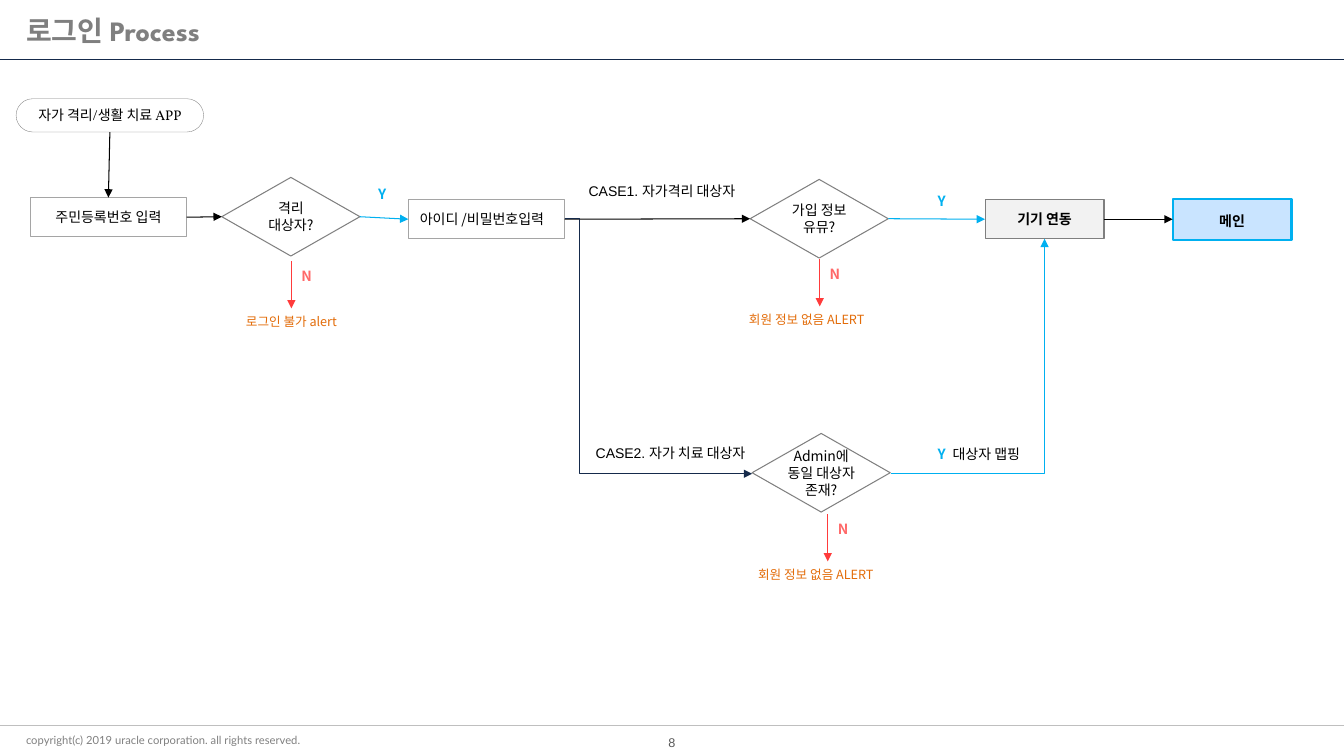
from lxml.etree import SubElement
from pptx import Presentation
from pptx.dml.color import RGBColor
from pptx.enum.shapes import MSO_CONNECTOR as LINK, MSO_SHAPE as SHAPE
from pptx.enum.text import MSO_ANCHOR as ANCHOR, PP_ALIGN as ALIGN
from pptx.oxml.ns import qn
from pptx.util import Inches, Pt

COLORS = {
    "black": "000000", "white": "FFFFFF", "navy": "152A4B", "blue": "00B0F0",
    "pale_blue": "C9E4FF", "pale_gray": "F2F2F2", "rule": "BFBFBF",
    "box": "A5A5A5", "gray": "808080", "title": "7F7F7F", "page": "595959",
    "red": "FF3B3B", "pink": "FF6969", "orange": "E36C09",
}
KOREAN = "Noto Sans CJK KR"
TOP, LEFT, BOTTOM, RIGHT = range(4)

# Node kinds: size, outline and text format
KINDS = {
    "start": dict(shape=SHAPE.ROUNDED_RECTANGLE, size=(1.86, 0.33), fill="white",
                  line="gray", weight=0.25, inset=(0.1, 0.05), font="Vollkorn"),
    "input": dict(shape=SHAPE.RECTANGLE, size=(1.55, 0.39), fill="white",
                  line="box", weight=0.75, inset=(0, 0)),
    "check": dict(shape=SHAPE.DIAMOND, size=(1.37, 0.78), fill="white",
                  line="gray", weight=0.75, inset=(0, 0.05)),
    "device": dict(shape=SHAPE.RECTANGLE, size=(1.18, 0.39), fill="pale_gray",
                   line="title", weight=0.75, inset=(0, 0), bold=True),
    "main": dict(shape=SHAPE.RECTANGLE, size=(1.18, 0.41), fill="pale_blue",
                 line="blue", weight=1.5, inset=(0, 0), bold=True, spacing=1.2),
}
# Node: name, kind, left, top, paragraphs
NODES = [
    ("app", "start", 0.16, 0.98, ["자가 격리/생활 치료 APP"]),
    ("resident_id", "input", 0.3, 1.96, ["주민등록번호 입력"]),
    ("isolated", "check", 2.2, 1.76, ["격리", "대상자?"]),
    ("login", "input", 4.05, 1.98, ["아이디 /비밀번호입력"]),
    ("member", "check", 7.44, 1.78, ["가입 정보", "유뮤?"]),
    ("admin", "check", 7.46, 4.3, ["Admin에", "동일 대상자 존재?"]),
    ("device", "device", 9.77, 1.98, ["기기 연동"]),
    ("main", "main", 11.63, 1.97, ["메인"]),
]
# Straight arrow: from node and side, to node and side, color
ARROWS = [
    ("app", BOTTOM, "resident_id", TOP, "black"),
    ("resident_id", RIGHT, "isolated", LEFT, "black"),
    ("isolated", RIGHT, "login", LEFT, "blue"),
    ("login", RIGHT, "member", LEFT, "black"),
    ("member", RIGHT, "device", LEFT, "blue"),
    ("device", RIGHT, "main", LEFT, "black"),
]
# Rejection: arrow x, arrow top, message left, message, alignment
REJECTIONS = [
    (2.89, 2.59, 2.1, "로그인 불가 alert", ALIGN.CENTER),
    (8.13, 2.57, 7.33, "회원 정보 없음 ALERT", ALIGN.LEFT),
    (8.21, 5.1, 7.42, "회원 정보 없음 ALERT", ALIGN.LEFT),
]
REJECTION_LENGTH = 0.47
YES_LABELS = [(3.63, 1.78), (9.18, 1.85), (9.18, 4.36)]
NOTES = [
    (5.74, 1.76, 1.73, "CASE1. 자가격리 대상자"),
    (5.81, 4.36, 1.89, "CASE2. 자가 치료 대상자"),
    (9.35, 4.37, 1.89, "대상자 맵핑"),
]

presentation = Presentation()
presentation.slide_width, presentation.slide_height = Inches(13.33), Inches(7.5)
slide = presentation.slides.add_slide(presentation.slide_layouts[6])


def rgb(name):
    return RGBColor.from_string(COLORS[name])


def write(shape, lines, size=10, font=KOREAN, color="black", bold=False,
          align=ALIGN.LEFT, anchor=ANCHOR.TOP, inset=(0.1, 0.05), spacing=None):
    frame = shape.text_frame
    across, down = map(Inches, inset)
    frame_format = dict(word_wrap=True, vertical_anchor=anchor, margin_left=across,
                        margin_right=across, margin_top=down, margin_bottom=down)
    for name, value in frame_format.items():
        setattr(frame, name, value)
    for index, line in enumerate(lines):
        paragraph = frame.add_paragraph() if index else frame.paragraphs[0]
        paragraph.alignment = align
        paragraph.line_spacing = spacing
        run = paragraph.add_run()
        run.text = line
        for name, value in dict(size=Pt(size), name=font, bold=bold).items():
            setattr(run.font, name, value)
        run.font.color.rgb = rgb(color)
        SubElement(run._r.get_or_add_rPr(), qn("a:ea"), typeface=KOREAN)


def add_text(left, top, width, height, text, **text_format):
    box = slide.shapes.add_textbox(*map(Inches, (left, top, width, height)))
    write(box, [text], **text_format)


def add_line(start, end, color, weight=0.75, arrow=True, kind=LINK.STRAIGHT):
    line = slide.shapes.add_connector(kind, *map(Inches, (*start, *end)))
    line.line.color.rgb = rgb(color)
    line.line.width = Pt(weight)
    if arrow:
        SubElement(line.line._get_or_add_ln(), qn("a:tailEnd"), type="triangle")
    SubElement(line._element.spPr, qn("a:effectLst"))
    return line


# Header and footer
add_line((0, 7.2), (13.33, 7.2), "rule", 1, arrow=False)
add_line((0, 0.59), (13.33, 0.59), "navy", arrow=False)
add_text(0.16, 0.03, 13.03, 0.54, "로그인 Process", size=20, font="League Spartan",
         color="title", bold=True, anchor=ANCHOR.MIDDLE)
add_text(0.16, 7.14, 4.07, 0.4, "copyright(c) 2019 uracle corporation. all rights reserved.",
         size=8, font="Lato", color="gray", anchor=ANCHOR.MIDDLE)
add_text(6.2, 7.24, 0.93, 0.25, "8", size=9, font="Arial", color="page",
         align=ALIGN.CENTER, anchor=ANCHOR.MIDDLE)

# Flow nodes
nodes = {}
for name, kind, left, top, lines in NODES:
    style = KINDS[kind]
    node = slide.shapes.add_shape(style["shape"], *map(Inches, (left, top, *style["size"])))
    node.shadow.inherit = False
    node.fill.solid()
    node.fill.fore_color.rgb = rgb(style["fill"])
    node.line.color.rgb = rgb(style["line"])
    node.line.width = Pt(style["weight"])
    text_format = {key: style[key] for key in ("inset", "font", "bold", "spacing") if key in style}
    write(node, lines, align=ALIGN.CENTER, anchor=ANCHOR.MIDDLE, **text_format)
    nodes[name] = node
nodes["app"].adjustments[0] = 0.5
nodes["login"].text_frame.margin_right = Inches(0.09)

# Straight arrows between nodes
for source, source_side, target, target_side, color in ARROWS:
    arrow = add_line((0, 0), (1, 1), color)
    arrow.begin_connect(nodes[source], source_side)
    arrow.end_connect(nodes[target], target_side)

# Bent arrows of the second case
case_arrow = add_line((5.6, 2.17), (7.46, 4.7), "navy", kind=LINK.ELBOW)
guides = case_arrow._element.spPr.prstGeom.get_or_add_avLst()
SubElement(guides, qn("a:gd"), name="adj1", fmla="val 7900")
mapping_arrow = add_line((8.84, 4.7), (10.36, 2.37), "blue", kind=LINK.ELBOW)
mapping_arrow._element.spPr.prstGeom.set("prst", "bentConnector2")

# Labels and rejections
label = dict(bold=True, inset=(0.12, 0.06))
for left, top in YES_LABELS:
    add_text(left, top, 0.33, 0.28, "Y", color="blue", **label)
for x, top, message_left, message, align in REJECTIONS:
    bottom = top + REJECTION_LENGTH
    add_line((x, top), (x, bottom), "red")
    add_text(x - 0.02, top, 0.33, 0.28, "N", color="pink", **label)
    add_text(message_left, bottom, 1.58, 0.25, message, size=9, color="orange", align=align)
for left, top, width, note in NOTES:
    add_text(left, top, width, 0.28, note, font="Arial")

presentation.save("out.pptx")
